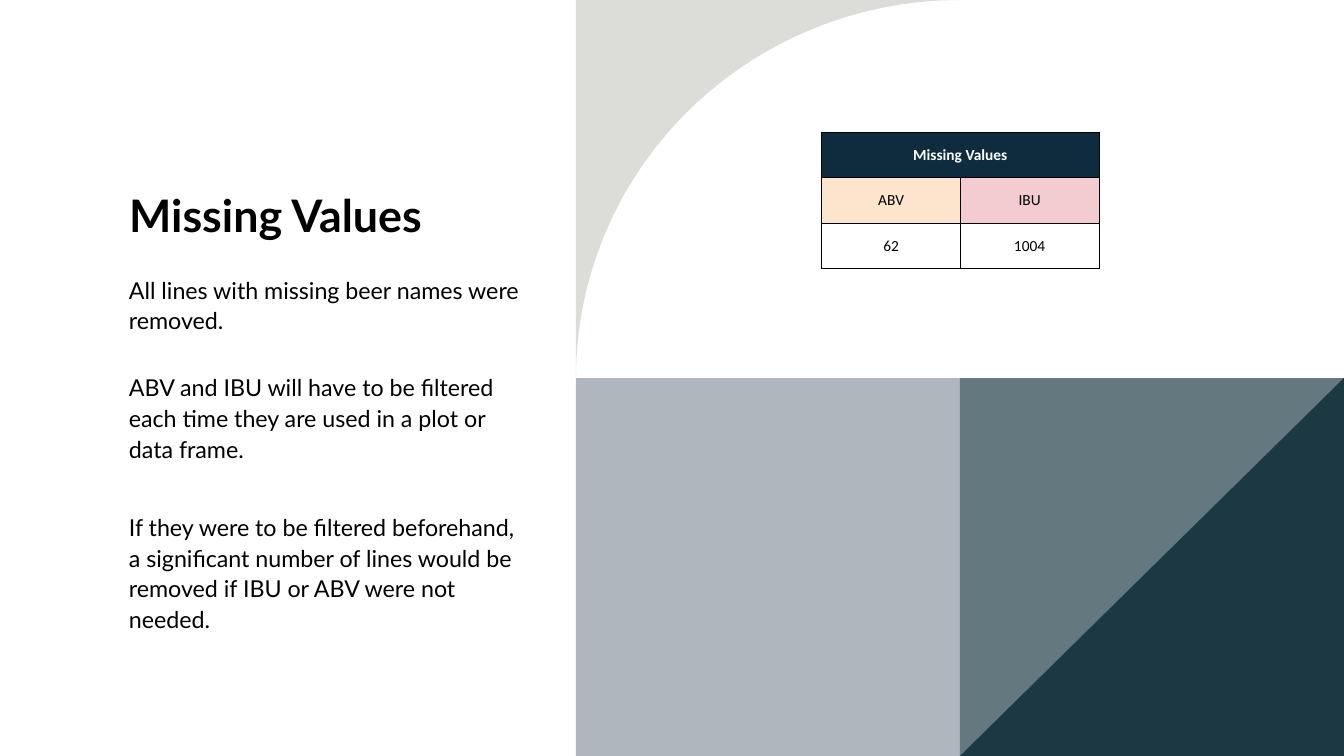
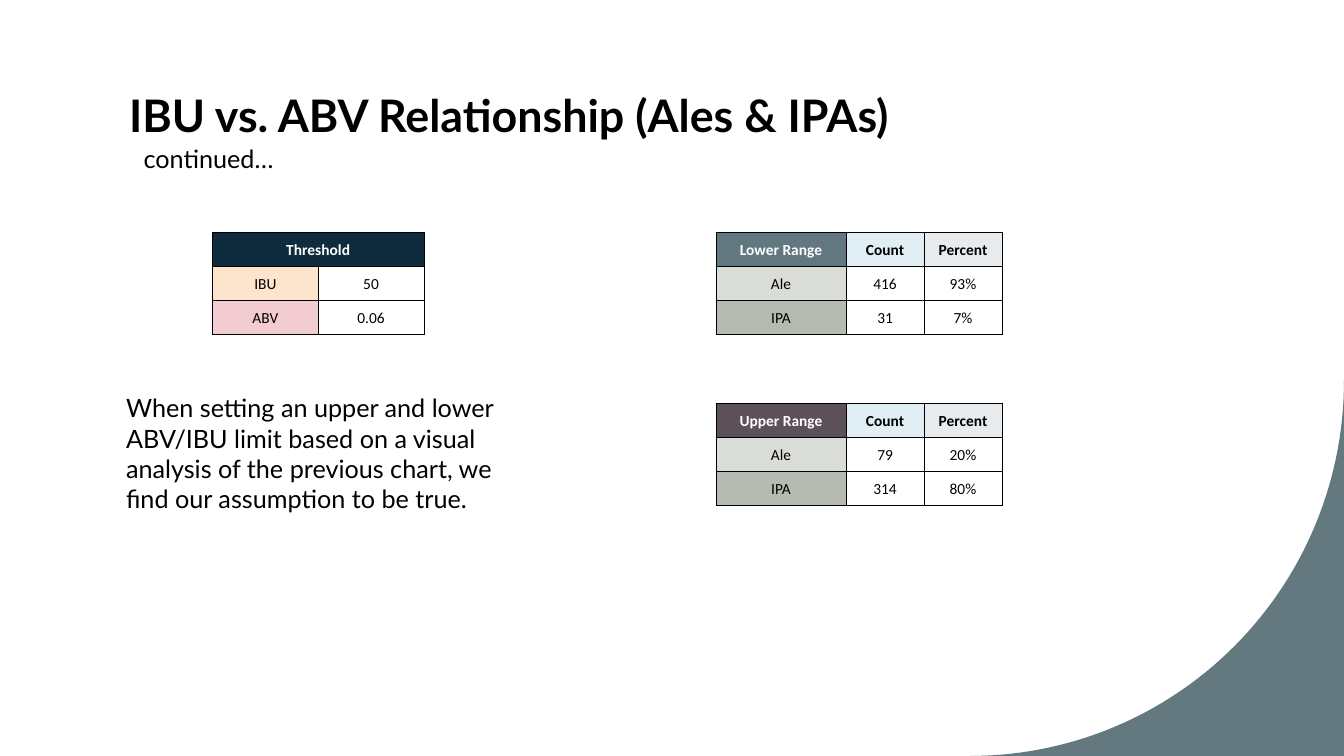
from dataclasses import dataclass
from math import cos, pi, sin

from lxml.etree import SubElement
from pptx import Presentation
from pptx.dml.color import RGBColor
from pptx.enum.shapes import MSO_SHAPE
from pptx.enum.text import MSO_ANCHOR, MSO_AUTO_SIZE, PP_ALIGN
from pptx.oxml.ns import qn
from pptx.util import Pt


@dataclass(frozen=True)
class Theme:
    # Colours
    ink: str = "000000"
    paper: str = "FFFFFF"
    stone: str = "DCDDD8"
    slate: str = "63787F"
    mist: str = "AFB6BE"
    deep: str = "1B3843"
    navy: str = "0E2C3D"
    peach: str = "FDE4CC"
    pink: str = "F2CCD0"
    lower: str = "617881"
    upper: str = "5C5158"
    count: str = "E1EEF3"
    percent: str = "E7EBED"
    ale: str = "DADDD7"
    ipa: str = "B5BBB0"
    # Type
    text_font: str = "Lato"
    table_font: str = "Calibri"
    title_size: float = 32
    text_size: float = 18
    small_text_size: float = 16.6
    table_size: float = 11
    title_spacing: float = 1.1


THEME = Theme()
WIDTH, HEIGHT = 960, 540


class SlideWriter:
    """Holds the deck, its theme and the slide being filled."""

    def __init__(self, theme):
        self.theme = theme
        self.deck = Presentation()
        self.deck.slide_width, self.deck.slide_height = Pt(WIDTH), Pt(HEIGHT)
        self.page = None

    def new_page(self, title, top, width, height):
        self.page = self.deck.slides.add_slide(self.deck.slide_layouts[5])
        box = self.page.shapes.title
        box.left, box.top, box.width, box.height = Pt(85), Pt(top), Pt(width), Pt(height)
        frame = box.text_frame
        frame.text = title
        frame.word_wrap = True
        frame.auto_size = MSO_AUTO_SIZE.NONE
        frame.vertical_anchor = MSO_ANCHOR.BOTTOM
        para = frame.paragraphs[0]
        para.alignment = PP_ALIGN.LEFT
        para.line_spacing = self.theme.title_spacing
        self.style(para.font, self.theme.text_font, self.theme.title_size, bold=True)

    def style(self, font, name, size, colour=None, bold=False):
        font.name, font.size, font.bold = name, Pt(size), bold
        font.color.rgb = RGBColor.from_string(colour or self.theme.ink)

    def text(self, left, top, width, height, paragraphs, size, spacing=1.0):
        """Write paragraphs given as (wording, space after) pairs."""
        box = self.page.shapes.add_textbox(Pt(left), Pt(top), Pt(width), Pt(height))
        frame = box.text_frame
        frame.word_wrap = True
        for index, (wording, gap) in enumerate(paragraphs):
            para = frame.add_paragraph() if index else frame.paragraphs[0]
            para.text = wording
            para.line_spacing = spacing
            para.space_after = Pt(gap)
            self.style(para.font, self.theme.text_font, size)

    def paint(self, shape, colour):
        shape.shadow.inherit = False
        shape.fill.solid()
        shape.fill.fore_color.rgb = RGBColor.from_string(colour)
        shape.line.fill.background()

    def tile(self, left, top, width, height, colour):
        shape = self.page.shapes.add_shape(
            MSO_SHAPE.RECTANGLE, Pt(left), Pt(top), Pt(width), Pt(height))
        self.paint(shape, colour)

    def outline(self, points, colour):
        first, *others = [(Pt(x), Pt(y)) for x, y in points]
        builder = self.page.shapes.build_freeform(*first)
        builder.add_line_segments(others, close=True)
        self.paint(builder.convert_to_shape(), colour)

    def hollow_corner(self, centre, corner, colour, steps=60):
        """Fill what lies between a corner and the quarter ellipse facing it."""
        (x, y), (corner_x, corner_y) = centre, corner
        angles = [pi / 2 * step / steps for step in range(steps + 1)]
        arc = [(x + (corner_x - x) * cos(a), y + (corner_y - y) * sin(a)) for a in angles]
        self.outline([corner, *arc], colour)

    def table(self, left, top, widths, row_height, rows):
        """Cells are (wording, fill) pairs; None extends the cell before it."""
        frame = self.page.shapes.add_table(
            len(rows), len(widths), Pt(left), Pt(top),
            Pt(sum(widths)), Pt(row_height * len(rows)))
        table = frame.table
        table.first_row = table.horz_banding = False
        for column, width in zip(table.columns, widths):
            column.width = Pt(width)
        for row_index, cells in enumerate(rows):
            table.rows[row_index].height = Pt(row_height)
            for column_index, content in enumerate(cells):
                cell = table.cell(row_index, column_index)
                self.border(cell)
                if content is None:
                    table.cell(row_index, column_index - 1).merge(cell)
                else:
                    heading = row_index == 0
                    self.fill_cell(cell, *content, heading, heading and column_index == 0)

    def fill_cell(self, cell, wording, fill, bold, light):
        cell.fill.solid()
        cell.fill.fore_color.rgb = RGBColor.from_string(fill)
        cell.margin_left = cell.margin_right = cell.margin_top = Pt(0.7)
        cell.margin_bottom = Pt(0)
        cell.vertical_anchor = MSO_ANCHOR.MIDDLE
        cell.text = wording
        para = cell.text_frame.paragraphs[0]
        para.alignment = PP_ALIGN.CENTER
        colour = self.theme.paper if light else self.theme.ink
        self.style(para.font, self.theme.table_font, self.theme.table_size, colour, bold)

    def border(self, cell):
        properties = cell._tc.get_or_add_tcPr()
        for side in ("a:lnL", "a:lnR", "a:lnT", "a:lnB"):
            line = SubElement(properties, qn(side), w=str(Pt(0.5)))
            fill = SubElement(line, qn("a:solidFill"))
            SubElement(fill, qn("a:srgbClr"), val=self.theme.ink)


def plain(*wordings):
    return [(wording, THEME.paper) for wording in wordings]


def missing_values(writer):
    writer.new_page("Missing Values", 57, 251, 119)
    writer.text(85, 191.5, 294.5, 276, [
        ("All lines with missing beer names were removed.", 26),
        ("ABV and IBU will have to be filtered each time they are used "
         "in a plot or data frame.", 34),
        ("If they were to be filtered beforehand, a significant number of lines "
         "would be removed if IBU or ABV were not needed.", 6),
    ], THEME.small_text_size, spacing=1.1)

    # Two by two mosaic on the right
    left, middle = 411.4, HEIGHT / 2
    centre = (left + WIDTH) / 2
    tile_width = centre - left
    writer.hollow_corner((centre, middle), (left, 0), THEME.stone)
    for x, colour in ((left, THEME.mist), (centre, THEME.slate)):
        writer.tile(x, middle, tile_width, middle, colour)
    writer.outline([(WIDTH, middle), (WIDTH, HEIGHT), (centre, HEIGHT)], THEME.deep)

    # Counts of missing values
    writer.table(587, 94.4, [99, 99], 32.4, [
        [("Missing Values", THEME.navy), None],
        [("ABV", THEME.peach), ("IBU", THEME.pink)],
        plain("62", "1004"),
    ])


def relationship(writer):
    writer.new_page("IBU vs. ABV Relationship (Ales & IPAs)", 57, 783, 48)
    writer.hollow_corner((693, 272), (WIDTH, HEIGHT), THEME.slate)
    writer.text(95.5, 98.6, 480, 29, [("continued…", 0)], THEME.text_size)
    writer.text(83, 277, 299.5, 94, [
        ("When setting an upper and lower ABV/IBU limit based on a visual analysis "
         "of the previous chart, we find our assumption to be true.", 0),
    ], THEME.text_size)

    # Threshold and the two ranges
    table_top, row_height = 166, 24.4
    writer.table(151.8, table_top, [75.5, 75.5], row_height, [
        [("Threshold", THEME.navy), None],
        [("IBU", THEME.peach), *plain("50")],
        [("ABV", THEME.pink), *plain("0.06")],
    ])
    ranges = [
        ("Lower Range", THEME.lower, ("416", "93%"), ("31", "7%")),
        ("Upper Range", THEME.upper, ("79", "20%"), ("314", "80%")),
    ]
    for index, (name, colour, ales, ipas) in enumerate(ranges):
        writer.table(511.4, table_top + 122 * index, [93, 55.7, 55.7], row_height, [
            [(name, colour), ("Count", THEME.count), ("Percent", THEME.percent)],
            [("Ale", THEME.ale), *plain(*ales)],
            [("IPA", THEME.ipa), *plain(*ipas)],
        ])


def main():
    writer = SlideWriter(THEME)
    missing_values(writer)
    relationship(writer)
    writer.deck.save("out.pptx")


if __name__ == "__main__":
    main()
